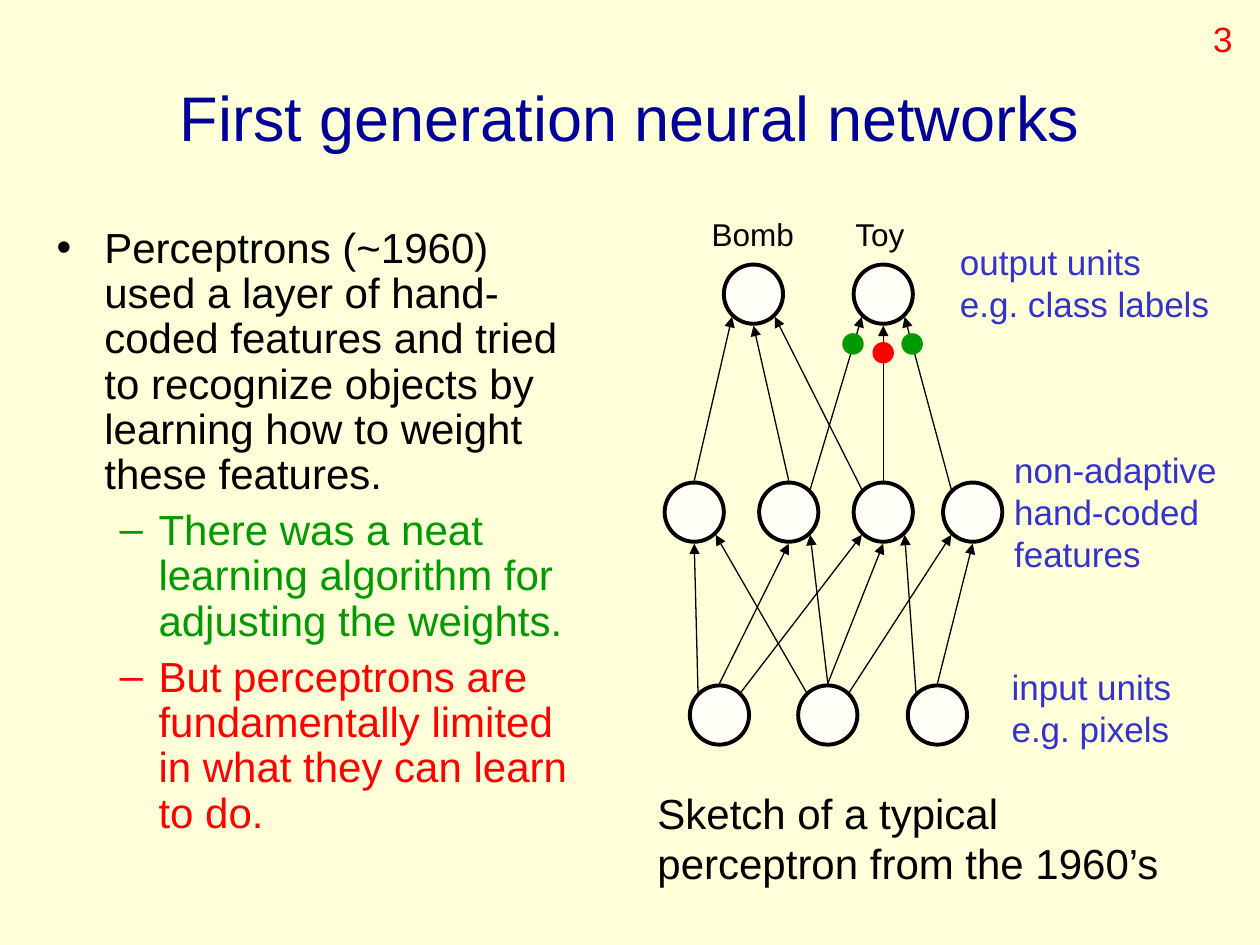
from lxml.etree import SubElement
from pptx import Presentation
from pptx.dml.color import RGBColor
from pptx.enum.shapes import MSO_CONNECTOR, MSO_SHAPE
from pptx.enum.text import MSO_ANCHOR, PP_ALIGN
from pptx.oxml.ns import qn
from pptx.util import Inches, Pt


class Theme:
    font = "Arial"
    page, unit = "FFFFD9", "FFFFF7"
    ink, navy, blue = "000000", "000099", "3333CC"
    green, red = "009900", "FF0000"
    title, body, note, tag = 36, 24, 20, 18
    ring, thin = 2.25, 0.75


deck = Presentation()
deck.slide_width, deck.slide_height = Inches(10), Inches(7.5)
cell = deck.slide_width / 100  # square grid: 100 columns by 75 rows
slide = deck.slides.add_slide(deck.slide_layouts[6])
slide.background.fill.solid()
slide.background.fill.fore_color.rgb = RGBColor.from_string(Theme.page)


def write(box, lines, size, color, wrap=True):
    """Add a text box at (column, row, columns, rows), one paragraph a line."""
    frame = slide.shapes.add_textbox(*(round(n * cell) for n in box)).text_frame
    frame.word_wrap = wrap
    for i, line in enumerate(lines):
        para = frame.paragraphs[0] if i == 0 else frame.add_paragraph()
        run = para.add_run()
        run.text = line
        run.font.name, run.font.size = Theme.font, Pt(size)
        run.font.color.rgb = RGBColor.from_string(color)
    return frame


def disc(x, y, size, fill, line, width):
    """Add a circle centred on column x and row y."""
    left, top, side = (round(n * cell) for n in (x - size / 2, y - size / 2, size))
    shape = slide.shapes.add_shape(MSO_SHAPE.OVAL, left, top, side, side)
    shape.shadow.inherit = False
    shape.fill.solid()
    shape.fill.fore_color.rgb = RGBColor.from_string(fill)
    shape.line.color.rgb = RGBColor.from_string(line)
    shape.line.width = Pt(width)


title = write((5, 3, 90, 12.5), ["First generation neural networks"],
              Theme.title, Theme.navy)
title.vertical_anchor = MSO_ANCHOR.MIDDLE
title.paragraphs[0].alignment = PP_ALIGN.CENTER

# Bulleted points: level, mark, left margin, hang, colour
points = [
    "Perceptrons (~1960) used a layer of hand-coded features and tried "
    "to recognize objects by learning how to weight these features.",
    "There was a neat learning algorithm for adjusting the weights.",
    "But perceptrons are fundamentally limited in what they can learn to do.",
]
styles = [
    (0, "•", 3.8, 3.8, Theme.ink),
    (1, "–", 8.1, 3.1, Theme.green),
    (1, "–", 8.1, 3.1, Theme.red),
]
body = write((3.5, 17.5, 44.2, 49.5), points, Theme.body, Theme.ink)
for i, (para, (level, mark, left, hang, color)) in enumerate(zip(body.paragraphs, styles)):
    para.level = level
    para.line_spacing = 0.9
    if i:
        para.space_before = Pt(6)
    props = para._p.get_or_add_pPr()
    props.set("marL", str(round(left * cell)))
    props.set("indent", str(round(-hang * cell)))
    tint = SubElement(props, qn("a:buClr"))
    SubElement(tint, qn("a:srgbClr")).set("val", color)
    SubElement(props, qn("a:buFont")).set("typeface", Theme.font)
    SubElement(props, qn("a:buChar")).set("char", mark)
    para.runs[0].font.color.rgb = RGBColor.from_string(color)

# Labels of the sketch
write((79.5, 35.1, 18.1, 11), ["non-adaptive", "hand-coded", "features"],
      Theme.note, Theme.blue, wrap=False)
write((75.2, 18.6, 22, 7.7), ["output units", "e.g. class labels"],
      Theme.note, Theme.blue)
write((79.3, 52.3, 17.5, 7.7), ["input units e.g. pixels"], Theme.note, Theme.blue)
write((51.2, 62, 43.7, 9), ["Sketch of a typical perceptron from the 1960’s"],
      Theme.body, Theme.ink)
write((55.5, 16.6, 8.6, 4), ["Bomb"], Theme.tag, Theme.ink)
write((66.9, 16.6, 7.1, 4), ["Toy"], Theme.tag, Theme.ink)
write((95.3, 0.9, 3.9, 4.4), ["3"], Theme.note, Theme.red)

# Layers of units: the row of the centres, then their columns
inputs = (56.75, [57.1, 65.7, 74.4])
hidden = (40.65, [55.1, 62.6, 70.1, 77.2])
outputs = (23.35, [59.8, 70.1])
for y, columns in (inputs, hidden, outputs):
    for x in columns:
        disc(x, y, 4.7, Theme.unit, Theme.ink, Theme.ring)

# Links: from unit, its side, to unit, its side (-1 left, 0 middle, 1 right)
links = [
    (inputs, hidden, [
        (0, -1, 0, 0), (0, 0, 1, 0), (0, 1, 2, -1),
        (1, -1, 0, 1), (1, 0, 1, 1), (1, 0, 2, 0), (1, 1, 3, -1),
        (2, -1, 2, 1), (2, 0, 3, 0)]),
    (hidden, outputs, [
        (0, 0, 0, -1), (1, 0, 0, 0), (1, 1, 1, -1),
        (2, -1, 0, 1), (2, 0, 1, 0), (3, -1, 1, 1)]),
]
shift = 1.7
reach = {-1: 1.8, 0: 2.5, 1: 1.8}
for (low, tails), (high, heads), pairs in links:
    for tail, out, head, into in pairs:
        ends = (tails[tail] + shift * out, low - reach[out],
                heads[head] + shift * into, high + reach[into])
        link = slide.shapes.add_connector(
            MSO_CONNECTOR.STRAIGHT, *(round(n * cell) for n in ends))
        link.line.color.rgb = RGBColor.from_string(Theme.ink)
        link.line.width = Pt(Theme.thin)
        SubElement(link.line._get_or_add_ln(), qn("a:tailEnd")).set("type", "triangle")
        SubElement(link._element.spPr, qn("a:effectLst"))

# Weights on the links into the second output
for x, y, color in ((72.4, 27.3, Theme.green), (67.7, 27.3, Theme.green),
                    (70.1, 28, Theme.red)):
    disc(x, y, 1.6, color, color, Theme.thin)

deck.save("out.pptx")
